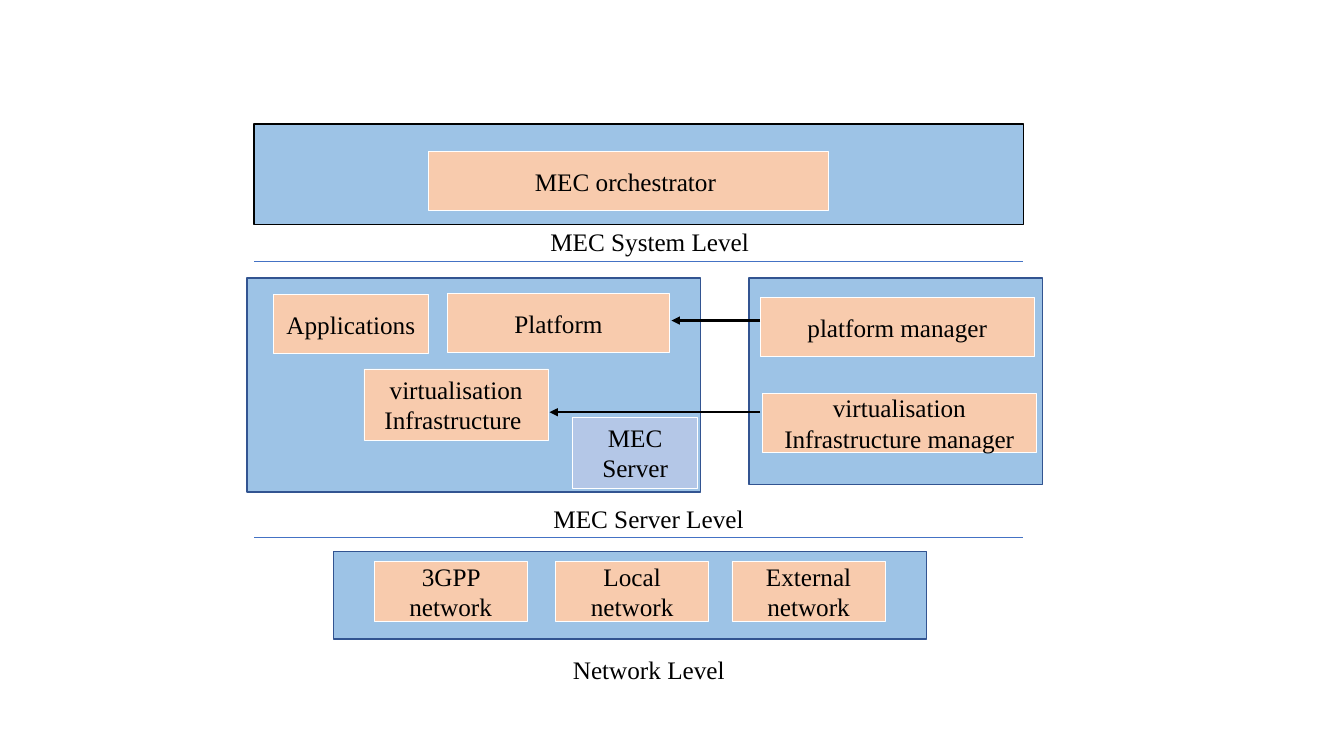
"""Builds a slide of the MEC framework: system, server and network levels."""
from lxml import etree
from pptx import Presentation, util as u
from pptx.dml.color import RGBColor
from pptx.enum import shapes, text
from pptx.oxml.ns import qn

BLUE, PEACH, LAVENDER = "9DC3E6", "F8CBAD", "B4C7E7"
NAVY, RULE, BLACK, WHITE = "325491", "4472C4", "000000", "FFFFFF"
MIDDLE, TOP = text.MSO_ANCHOR.MIDDLE, text.MSO_ANCHOR.TOP
CENTER, LEFT = text.PP_ALIGN.CENTER, text.PP_ALIGN.LEFT
BLOCK_H = 0.59

panels = [
    (2.52, 1.23, 7.63, 1, BLACK),
    (2.45, 2.76, 4.5, 2.12, NAVY),
    (7.43, 2.76, 2.91, 2.05, NAVY),
    (3.31, 5.47, 5.88, 0.87, NAVY),
]
blocks = [
    ("MEC orchestrator ", 4.25, 1.5, 3.97, BLOCK_H),
    ("Platform", 4.44, 2.91, 2.2, BLOCK_H),
    ("Applications", 2.71, 2.92, 1.54, BLOCK_H),
    ("virtualisation Infrastructure ", 3.61, 3.66, 1.83, 0.71),
    ("platform manager", 7.54, 2.95, 2.72, BLOCK_H),
    ("virtualisation Infrastructure manager", 7.56, 3.9, 2.72, BLOCK_H),
]
networks = [("3GPP network", 3.71), ("Local network", 5.51), ("External network", 7.26)]
blocks += [(name, left, 5.57, 1.52, BLOCK_H) for name, left in networks]
levels = [
    ("MEC System Level", 5.36, 2.2, 2.36, LEFT),
    ("MEC Server Level", 5.39, 4.94, 2.15, LEFT),
    ("Network Level", 5.36, 6.44, 2.15, CENTER),
]
dividers = [2.59, 5.33]
manager_arrows = [(6.66, 3.18), (5.45, 4.09)]

deck = Presentation()
deck.slide_width, deck.slide_height = u.Inches(13.33), u.Inches(7.5)
slide = deck.slides.add_slide(deck.slide_layouts[6])


def color(value):
    return RGBColor.from_string(value)


def write(shape, words, align, anchor):
    frame = shape.text_frame
    frame.word_wrap = True
    frame.vertical_anchor = anchor
    paragraph = frame.paragraphs[0]
    paragraph.text = words
    paragraph.alignment = align
    paragraph.font.name, paragraph.font.size = "Times New Roman", u.Pt(18)
    paragraph.font.color.rgb = color(BLACK)


def box(left, top, width, height, fill, line, weight):
    shape = slide.shapes.add_shape(
        shapes.MSO_SHAPE.RECTANGLE, *map(u.Inches, (left, top, width, height)))
    shape.shadow.inherit = False
    shape.fill.solid()
    shape.fill.fore_color.rgb = color(fill)
    shape.line.color.rgb = color(line)
    shape.line.width = u.Pt(weight)
    return shape


def connect(x1, y1, x2, y2, line, weight, arrow=False):
    connector = slide.shapes.add_connector(
        shapes.MSO_CONNECTOR.STRAIGHT, *map(u.Inches, (x1, y1, x2, y2)))
    connector.line.color.rgb = color(line)
    connector.line.width = u.Pt(weight)
    if arrow:
        etree.SubElement(connector.line._get_or_add_ln(), qn("a:tailEnd"), type="triangle")
    etree.SubElement(connector._element.spPr, qn("a:effectLst"))


for *place, outline in panels:
    box(*place, BLUE, outline, 1)
for y in dividers:
    connect(2.52, y, 10.15, y, RULE, 0.5)
for words, *place in blocks:
    write(box(*place, PEACH, WHITE, 0.5), words, CENTER, MIDDLE)
for tip, y in manager_arrows:
    connect(7.54, y, tip, y, BLACK, 1.5, arrow=True)
write(box(5.68, 4.14, 1.24, 0.71, LAVENDER, WHITE, 0.5), "MEC Server", CENTER, TOP)
for words, left, top, width, align in levels:
    label = slide.shapes.add_textbox(*map(u.Inches, (left, top, width, 0.4)))
    write(label, words, align, TOP)

deck.save("out.pptx")
